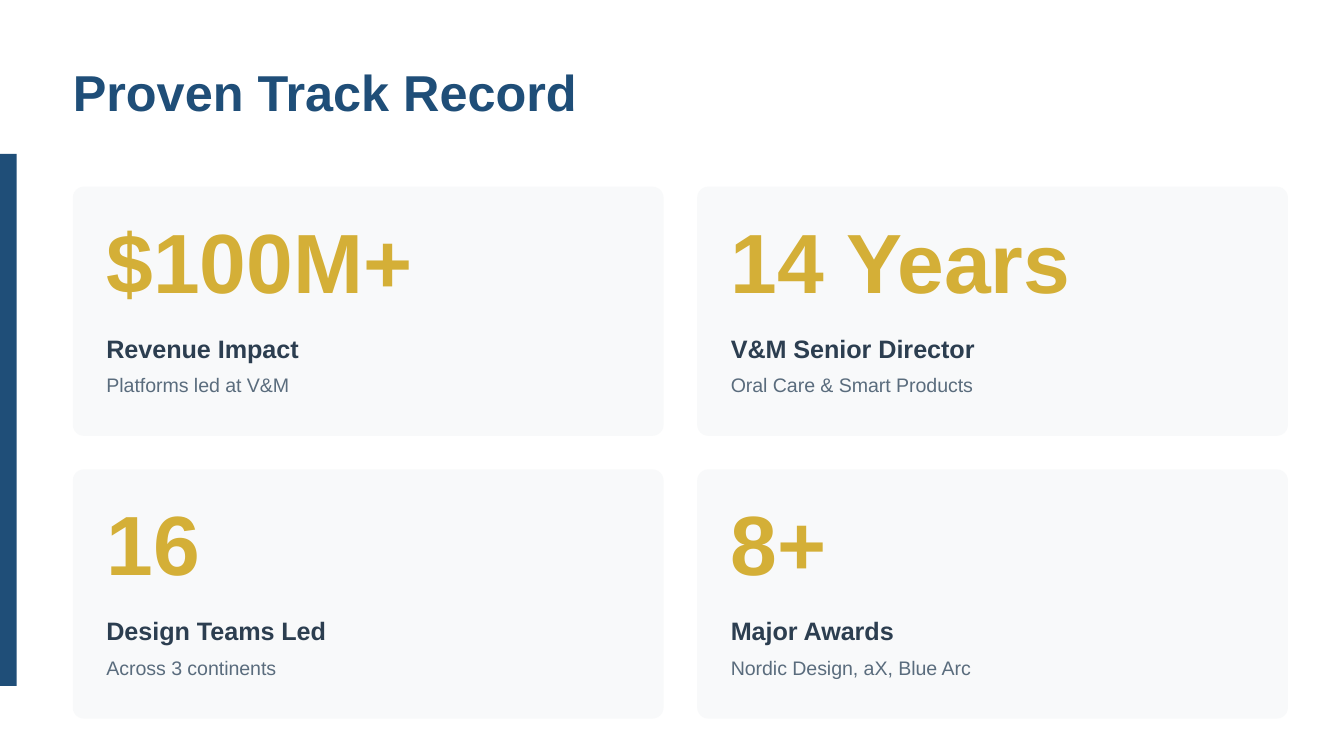
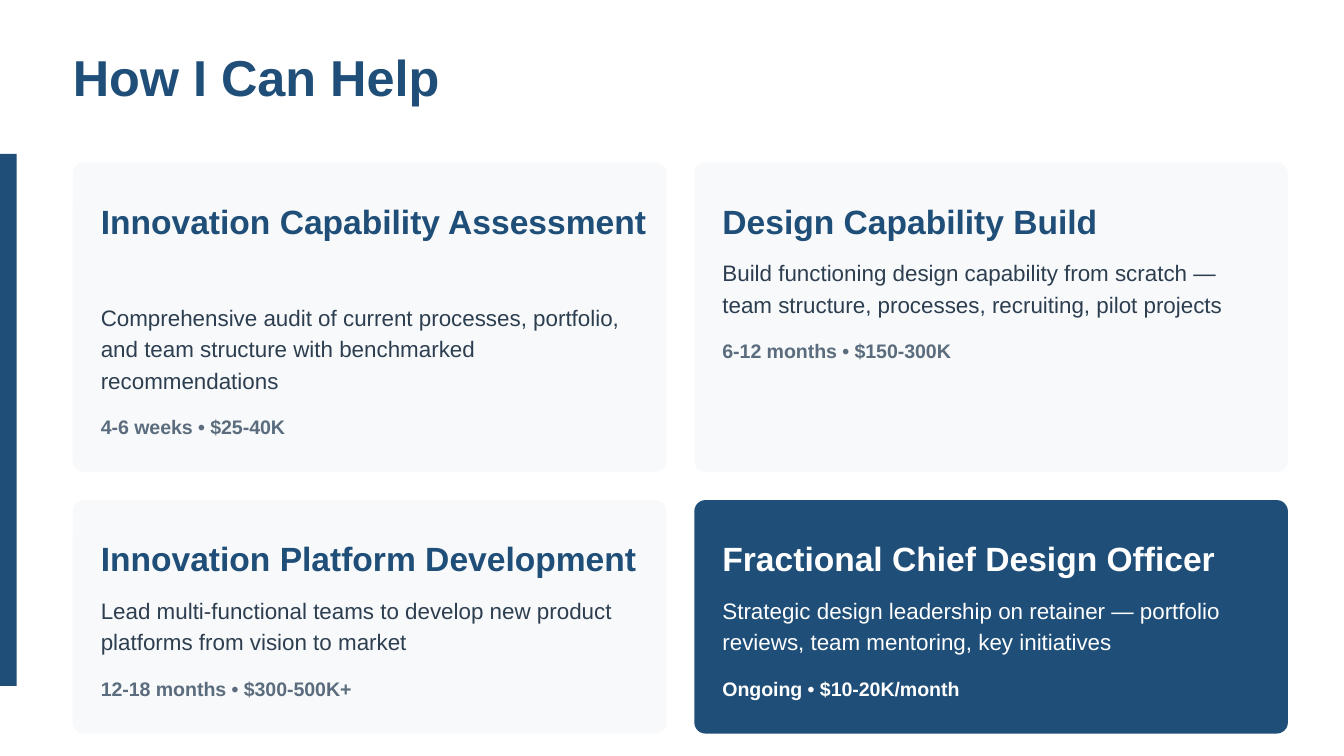
import pptx
import pptx.util
import pptx.dml.color
import pptx.enum.shapes
import pptx.enum.text
from dataclasses import dataclass

Pt = pptx.util.Pt
Shapes = pptx.enum.shapes.MSO_SHAPE


@dataclass(frozen=True)
class Style:
    size: float
    line: float
    color: str
    bold: bool = True
    before: float = 3
    after: float = 3


class Theme:
    font = "Arial"
    navy, white, panel = "1F4E78", "FFFFFF", "F8F9FA"
    gold, ink, slate = "D4AF37", "2C3E50", "5A6C7D"
    title = Style(27, 30, navy, before=0, after=0)
    figure = Style(45, 45, gold, after=7.5)
    label = Style(13.5, 21, ink)
    detail = Style(10.5, 15, slate, bold=False)
    offer = Style(18, 24, navy, after=7.5)
    scope = Style(12, 16.8, ink, bold=False, after=9)
    terms = Style(10.5, 15, slate)


SLIDE_W, SLIDE_H = 720, 405
GRID_LEFT, GRID_W, COLUMNS = 39, 651, 2
CARD_RADIUS, TEXT_STRETCH = 6, 1.02
BAND = (0, 82.5, 9, 285)

PAGES = [
    dict(
        title="Proven Track Record", title_top=35.25, grid_top=100, gap=18, pad=18,
        styles=(Theme.figure, Theme.label, Theme.detail),
        cards=[
            dict(texts=("$100M+", "Revenue Impact", "Platforms led at V&M")),
            dict(texts=("14 Years", "V&M Senior Director", "Oral Care & Smart Products")),
            dict(texts=("16", "Design Teams Led", "Across 3 continents")),
            dict(texts=("8+", "Major Awards", "Nordic Design, aX, Blue Arc")),
        ],
    ),
    dict(
        title="How I Can Help", title_top=27.25, grid_top=87, gap=15, pad=15,
        styles=(Theme.offer, Theme.scope, Theme.terms),
        cards=[
            dict(texts=("Innovation Capability Assessment",
                        "Comprehensive audit of current processes, portfolio, and team "
                        "structure with benchmarked recommendations",
                        "4-6 weeks • $25-40K"), lines=(2, 3, 1)),
            dict(texts=("Design Capability Build",
                        "Build functioning design capability from scratch — team structure, "
                        "processes, recruiting, pilot projects",
                        "6-12 months • $150-300K"), lines=(1, 2, 1)),
            dict(texts=("Innovation Platform Development",
                        "Lead multi-functional teams to develop new product platforms "
                        "from vision to market",
                        "12-18 months • $300-500K+"), lines=(1, 2, 1)),
            dict(texts=("Fractional Chief Design Officer",
                        "Strategic design leadership on retainer — portfolio reviews, "
                        "team mentoring, key initiatives",
                        "Ongoing • $10-20K/month"), lines=(1, 2, 1), featured=True),
        ],
    ),
]


def rgb(color):
    return pptx.dml.color.RGBColor.from_string(color)


def write(holder, text, *, style, color=None, inset=0):
    frame = holder.text_frame
    frame.word_wrap = True
    frame.auto_size = pptx.enum.text.MSO_AUTO_SIZE.NONE
    frame.vertical_anchor = pptx.enum.text.MSO_ANCHOR.TOP
    frame.margin_left = Pt(inset)
    frame.margin_top = frame.margin_right = frame.margin_bottom = 0
    line = frame.paragraphs[0]
    line.alignment = pptx.enum.text.PP_ALIGN.LEFT
    line.line_spacing = Pt(style.line)
    line.space_before, line.space_after = Pt(style.before), Pt(style.after)
    run = line.add_run()
    run.text = text
    run.font.name, run.font.size, run.font.bold = Theme.font, Pt(style.size), style.bold
    run.font.color.rgb = rgb(color or style.color)


def add_block(slide, kind, box, color):
    block = slide.shapes.add_shape(kind, *map(Pt, box))
    block.shadow.inherit = False
    block.fill.solid()
    block.fill.fore_color.rgb = rgb(color)
    block.line.fill.background()
    return block


def stack(card, styles):
    top, places = 0, []
    for style, count in zip(styles, card.get("lines", (1, 1, 1))):
        height = style.line * count
        places.append((top, height))
        top += height + style.after
    return places


def add_card(slide, card, styles, left, top, width, height, pad):
    featured = card.get("featured", False)
    panel = add_block(slide, Shapes.ROUNDED_RECTANGLE, (left, top, width, height),
                      Theme.navy if featured else Theme.panel)
    panel.adjustments[0] = CARD_RADIUS / height
    text_width = (width - 2 * pad) * TEXT_STRETCH
    text_top = top + pad + styles[0].before
    for text, style, (offset, text_height) in zip(card["texts"], styles, stack(card, styles)):
        box = (left + pad, text_top + offset, text_width, text_height)
        write(slide.shapes.add_textbox(*map(Pt, box)), text, style=style,
              color=Theme.white if featured else None)


def add_page(deck, page):
    slide = deck.slides.add_slide(deck.slide_layouts.get_by_name("Title Only"))
    slide.background.fill.solid()
    slide.background.fill.fore_color.rgb = rgb(Theme.white)
    title = slide.shapes.title
    title.left, title.top, title.width, title.height = map(Pt, (15, page["title_top"], 353, 30))
    write(title, page["title"], style=Theme.title, inset=24)
    add_block(slide, Shapes.RECTANGLE, BAND, Theme.navy)

    styles, gap, pad, cards = page["styles"], page["gap"], page["pad"], page["cards"]
    width = (GRID_W - gap * (COLUMNS - 1)) / COLUMNS
    top = page["grid_top"]
    for start in range(0, len(cards), COLUMNS):
        row = cards[start:start + COLUMNS]
        content = max(sum(stack(card, styles)[-1]) for card in row)
        height = content + 2 * (pad + styles[0].before)
        for column, card in enumerate(row):
            left = GRID_LEFT + column * (width + gap)
            add_card(slide, card, styles, left, top, width, height, pad)
        top += height + gap


def main():
    deck = pptx.Presentation()
    deck.slide_width, deck.slide_height = Pt(SLIDE_W), Pt(SLIDE_H)
    for page in PAGES:
        add_page(deck, page)
    deck.save("out.pptx")


if __name__ == "__main__":
    main()
